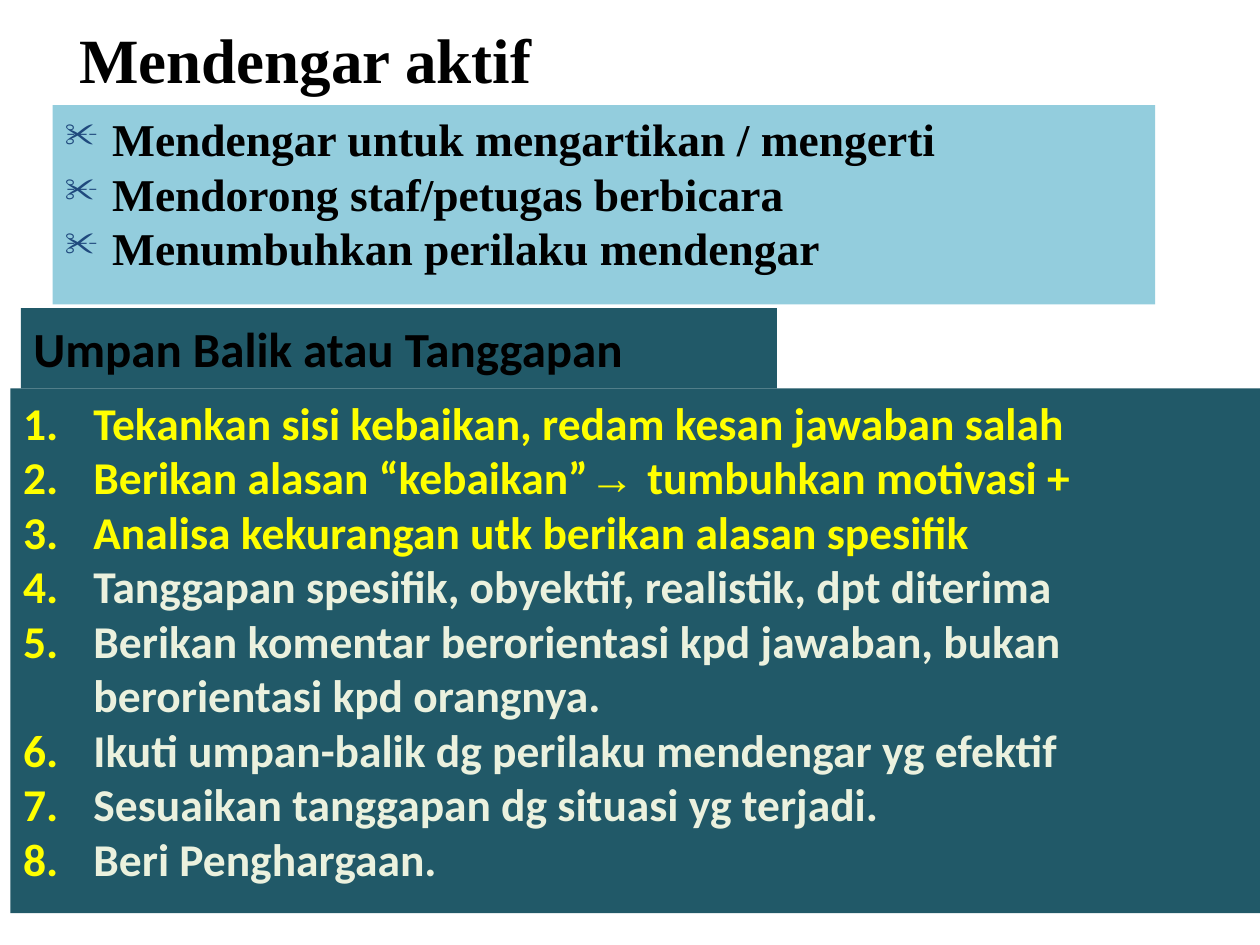
from dataclasses import dataclass

from lxml import etree
from pptx import Presentation
from pptx import util as u
from pptx.dml import color
from pptx.enum import shapes, text
from pptx.oxml import ns

TEAL, SKY, NAVY = "215968", "93CDDD", "1F497D"
BLACK, YELLOW, IVORY = "000000", "FFFF00", "EBF1DE"
SERIF, SANS = "Times New Roman", "Calibri"


@dataclass(frozen=True)
class Box:
    left: float
    top: float
    width: float
    height: float
    fill: str | None = None
    anchor: text.MSO_ANCHOR = text.MSO_ANCHOR.TOP


@dataclass(frozen=True)
class Bullet:
    tag: str
    attributes: dict[str, str]
    color: str
    indent: float
    size: int = 100


def rgb(value: str) -> color.RGBColor:
    return color.RGBColor.from_string(value)


def format_box(shape, box: Box) -> None:
    shape.left, shape.top = u.Cm(box.left), u.Cm(box.top)
    shape.width, shape.height = u.Cm(box.width), u.Cm(box.height)
    if box.fill:
        shape.fill.solid()
        shape.fill.fore_color.rgb = rgb(box.fill)
        shape.line.fill.background()
    frame = shape.text_frame
    frame.word_wrap = True
    frame.auto_size = text.MSO_AUTO_SIZE.NONE
    frame.vertical_anchor = box.anchor


def add_child(parent, tag: str, **attributes: str):
    return etree.SubElement(parent, ns.qn(f"a:{tag}"), attributes)


def set_indent(paragraph, indent: float) -> None:
    properties = paragraph._p.get_or_add_pPr()
    properties.set("marL", str(u.Cm(indent)))
    properties.set("indent", str(-u.Cm(indent)))


def set_bullet(paragraph, bullet: Bullet) -> None:
    set_indent(paragraph, bullet.indent)
    properties = paragraph._p.get_or_add_pPr()
    add_child(add_child(properties, "buClr"), "srgbClr", val=bullet.color)
    add_child(properties, "buSzPct", val=str(bullet.size * 1000))
    add_child(properties, bullet.tag, **bullet.attributes)


def add_run(paragraph, content: str, *, size: float, font: str, color: str) -> None:
    run = paragraph.add_run()
    run.text = content
    run.font.size = u.Pt(size)
    run.font.name = font
    run.font.bold = True
    run.font.color.rgb = rgb(color)


def start_paragraph(frame, first: bool):
    paragraph = frame.paragraphs[0] if first else frame.add_paragraph()
    paragraph.alignment = text.PP_ALIGN.LEFT
    paragraph.space_before = u.Pt(0)
    return paragraph


def write_list(frame, items: list[tuple[str, str]], bullet: Bullet, font: str) -> None:
    for index, (content, item_color) in enumerate(items):
        paragraph = start_paragraph(frame, index == 0)
        paragraph.line_spacing = u.Pt(31.15)
        set_bullet(paragraph, bullet)
        before, arrow, after = content.partition("→ ")
        for part, part_font in ((before, font), (arrow, "Arial"), (after, font)):
            if part:
                add_run(paragraph, part, size=26, font=part_font, color=item_color)


def main() -> None:
    presentation = Presentation()
    presentation.slide_width, presentation.slide_height = u.Cm(25.4), u.Cm(19.05)
    slide = presentation.slides.add_slide(presentation.slide_layouts[1])

    title, feedback = slide.shapes.title, slide.placeholders[1]
    format_box(title, Box(0.42, 6.21, 15.24, 1.62, TEAL, text.MSO_ANCHOR.MIDDLE))
    paragraph = start_paragraph(title.text_frame, True)
    set_indent(paragraph, 2.22)
    add_run(paragraph, "Umpan Balik atau Tanggapan", size=28, font=SANS, color=BLACK)

    format_box(feedback, Box(0.21, 7.83, 25.19, 10.58, TEAL))
    advice = [
        ("Tekankan sisi kebaikan, redam kesan jawaban salah", YELLOW),
        ("Berikan alasan “kebaikan”→ tumbuhkan motivasi +", YELLOW),
        ("Analisa kekurangan utk berikan alasan spesifik", YELLOW),
        ("Tanggapan spesifik, obyektif, realistik, dpt diterima", IVORY),
        ("Berikan komentar berorientasi kpd jawaban, bukan berorientasi kpd orangnya.", IVORY),
        ("Ikuti umpan-balik dg perilaku mendengar yg efektif", IVORY),
        ("Sesuaikan tanggapan dg situasi yg terjadi.", IVORY),
        ("Beri Penghargaan.", IVORY),
    ]
    numbers = Bullet("buAutoNum", {"type": "arabicPeriod"}, YELLOW, 1.42)
    write_list(feedback.text_frame, advice, numbers, SANS)

    heading = slide.shapes.add_textbox(0, 0, 0, 0)
    format_box(heading, Box(1.35, 0, 12.83, 2.34, anchor=text.MSO_ANCHOR.MIDDLE))
    paragraph = start_paragraph(heading.text_frame, True)
    add_run(paragraph, "Mendengar aktif", size=36, font=SERIF, color=BLACK)

    listening = slide.shapes.add_shape(shapes.MSO_SHAPE.RECTANGLE, 0, 0, 0, 0)
    listening.shadow.inherit = False
    format_box(listening, Box(1.06, 2.12, 22.23, 4.02, SKY))
    skills = [
        ("Mendengar untuk mengartikan / mengerti", BLACK),
        ("Mendorong staf/petugas berbicara", BLACK),
        ("Menumbuhkan perilaku mendengar", BLACK),
    ]
    scissors = Bullet("buChar", {"char": "✂"}, NAVY, 0.95, 75)
    write_list(listening.text_frame, skills, scissors, SERIF)

    presentation.save("out.pptx")


if __name__ == "__main__":
    main()
